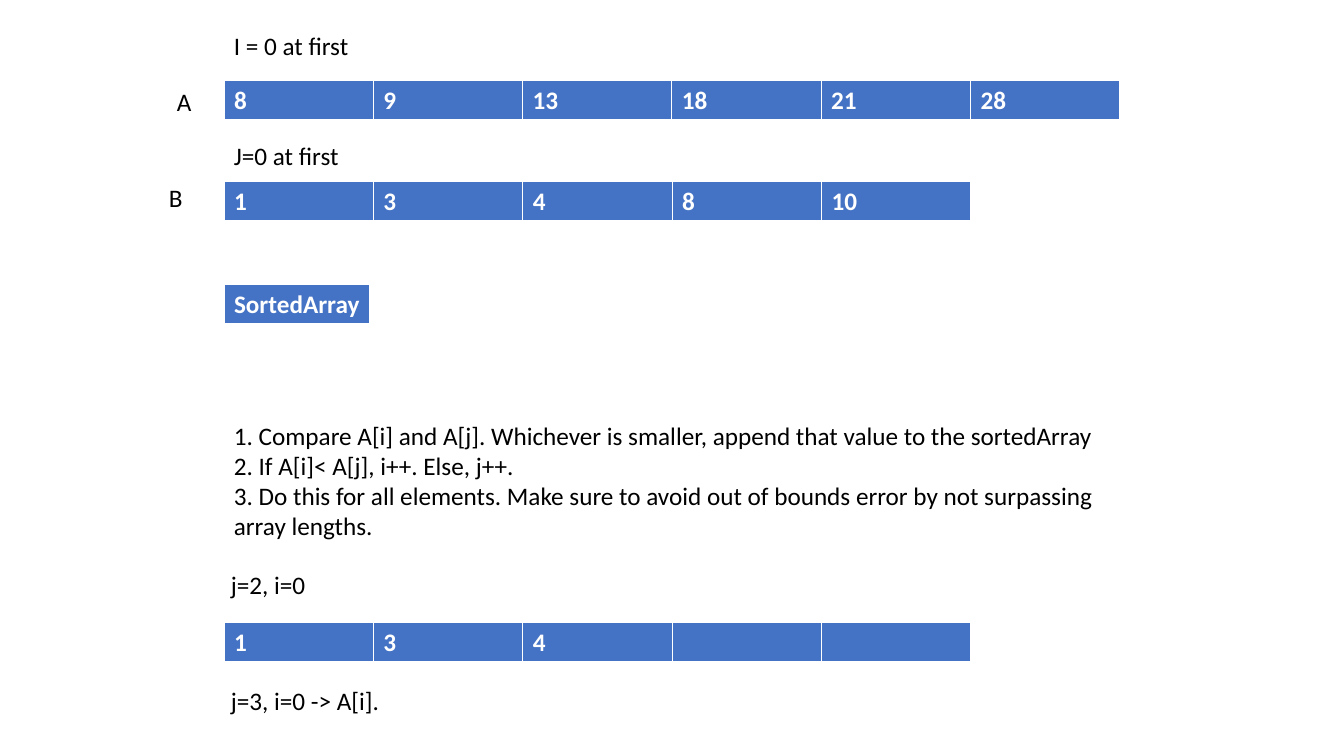
from dataclasses import dataclass

from lxml import etree
from pptx import Presentation
from pptx import util as u
from pptx.dml.color import RGBColor
from pptx.enum import text
from pptx.oxml import ns

SCALE = 914400 / 100.8  # EMU in one pixel


@dataclass(frozen=True)
class Theme:
    """Colours, type and line widths of the slide."""
    font: str = "Calibri"
    size: int = 18
    ink: str = "000000"
    light: str = "FFFFFF"
    cell: str = "4472C4"
    thin: int = 1
    thick: int = 3


@dataclass(frozen=True)
class Note:
    """A text box; each line is a paragraph."""
    left: int
    top: int
    width: int
    height: int
    lines: tuple[str, ...]


@dataclass(frozen=True)
class Array:
    """A one-row table of equal cells."""
    top: int
    width: int
    items: tuple[str, ...]


THEME = Theme()
LEFT, ROW, LINE = 224, 41, 40

ARRAYS = (
    Array(80, 896, ("8", "9", "13", "18", "21", "28")),
    Array(181, 747, ("1", "3", "4", "8", "10")),
    Array(284, 146, ("SortedArray",)),
    Array(622, 747, ("1", "3", "4", "", "")),
)
NOTES = (
    Note(LEFT, 25, 139, LINE, ("I = 0 at first",)),
    Note(LEFT, 135, 139, LINE, ("J=0 at first",)),
    Note(LEFT, 415, 908, 132, (
        "1. Compare A[i] and A[j]. Whichever is smaller, "
        "append that value to the sortedArray",
        "2. If A[i]< A[j], i++. Else, j++.",
        "3. Do this for all elements. Make sure to avoid out of bounds error "
        "by not surpassing array lengths.",
    )),
    Note(221, 564, 376, LINE, ("j=2, i=0",)),
    Note(221, 680, 376, LINE, ("j=3, i=0 -> A[i].",)),
    Note(167, 81, 376, LINE, ("A",)),
    Note(159, 177, 376, LINE, ("B",)),
)


def px(count: float) -> u.Emu:
    """Turn pixels into EMU."""
    return u.Emu(round(count * SCALE))


def style(para, color: str, bold: bool = False) -> None:
    """Set the font of a paragraph."""
    font = para.font
    font.name, font.size, font.bold = THEME.font, u.Pt(THEME.size), bold
    font.color.rgb = RGBColor.from_string(color)


def edge(cell) -> None:
    """Draw the four borders of a cell."""
    props = cell._tc.get_or_add_tcPr()
    for side in "LRTB":
        width = THEME.thick if side == "B" else THEME.thin
        line = etree.SubElement(props, ns.qn(f"a:ln{side}"), w=str(u.Pt(width)))
        fill = etree.SubElement(line, ns.qn("a:solidFill"))
        etree.SubElement(fill, ns.qn("a:srgbClr"), val=THEME.light)


def draw_array(slide, array: Array) -> None:
    """Add an array as a table."""
    count = len(array.items)
    table = slide.shapes.add_table(
        1, count, px(LEFT), px(array.top), px(array.width), px(ROW)).table
    for col, item in enumerate(array.items):
        table.columns[col].width = px(array.width / count)
        cell = table.cell(0, col)
        edge(cell)
        cell.fill.solid()
        cell.fill.fore_color.rgb = RGBColor.from_string(THEME.cell)
        cell.text = item
        style(cell.text_frame.paragraphs[0], THEME.light, bold=True)


def draw_note(slide, note: Note) -> None:
    """Add a text box."""
    box = slide.shapes.add_textbox(
        px(note.left), px(note.top), px(note.width), px(note.height))
    frame = box.text_frame
    frame.word_wrap = True
    frame.auto_size = text.MSO_AUTO_SIZE.SHAPE_TO_FIT_TEXT
    frame.text = "\n".join(note.lines)
    for para in frame.paragraphs:
        style(para, THEME.ink)


def main() -> None:
    """Build and save the slide."""
    deck = Presentation()
    deck.slide_width, deck.slide_height = px(1344), px(756)
    slide = deck.slides.add_slide(deck.slide_layouts[6])
    for array in ARRAYS:
        draw_array(slide, array)
    for note in NOTES:
        draw_note(slide, note)
    deck.save("out.pptx")


main()
